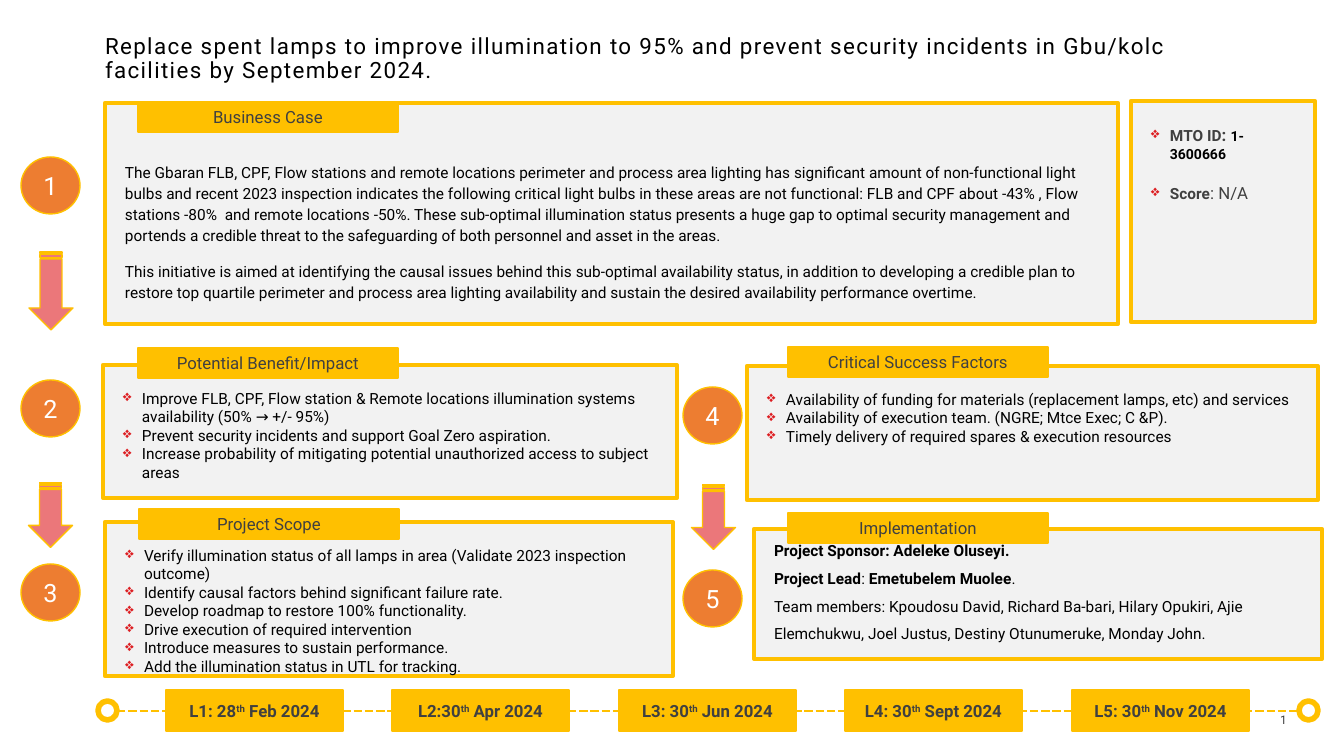
import lxml.etree
import pptx
import pptx.dml.color
import pptx.enum.dml
import pptx.enum.shapes
import pptx.enum.text
import pptx.oxml.ns
import pptx.util

RGBColor = pptx.dml.color.RGBColor
GOLD = RGBColor(0xFF, 0xC0, 0x00)
ORANGE = RGBColor(0xED, 0x7D, 0x31)
PINK = RGBColor(0xEB, 0x77, 0x7A)
RED = RGBColor(0xDD, 0x1D, 0x21)
PANEL_GREY = RGBColor(0xF2, 0xF2, 0xF2)
DARK_GREY = RGBColor(0x40, 0x40, 0x40)
BLACK = RGBColor(0x00, 0x00, 0x00)
WHITE = RGBColor(0xFF, 0xFF, 0xFF)

SHAPE = pptx.enum.shapes.MSO_SHAPE
ALIGN = pptx.enum.text.PP_ALIGN
ANCHOR = pptx.enum.text.MSO_ANCHOR
qn = pptx.oxml.ns.qn

FONT = "Roboto"
EMU_PER_PX = 914400 / 100.8

TITLE = ("Replace spent lamps to improve illumination to 95% and prevent security "
         "incidents in Gbu/kolc facilities by September 2024.")
BUSINESS_CASE = [
    "The Gbaran FLB, CPF, Flow stations and remote locations perimeter and process area "
    "lighting has significant amount of non-functional light bulbs and recent 2023 inspection "
    "indicates the following critical light bulbs in these areas are not functional: FLB and "
    "CPF about -43% , Flow stations -80%  and remote locations -50%. These sub-optimal "
    "illumination status presents a huge gap to optimal security management and portends a "
    "credible threat to the safeguarding of both personnel and asset in the areas.",
    "This initiative is aimed at identifying the causal issues behind this sub-optimal "
    "availability status, in addition to developing a credible plan to restore top quartile "
    "perimeter and process area lighting availability and sustain the desired availability "
    "performance overtime.",
]
BENEFITS = [
    "Improve FLB, CPF, Flow station & Remote locations illumination systems availability "
    "(50% → +/- 95%)",
    "Prevent security incidents and support Goal Zero aspiration.",
    "Increase probability of mitigating potential unauthorized access to subject areas",
]
SCOPE = [
    "Verify illumination status of all lamps in area (Validate 2023 inspection outcome)",
    "Identify causal factors behind significant failure rate.",
    "Develop roadmap to restore 100% functionality.",
    "Drive execution of required intervention",
    "Introduce measures to sustain performance.",
    "Add the illumination status in UTL for tracking.",
]
SUCCESS_FACTORS = [
    "Availability of funding for materials (replacement lamps, etc) and services",
    "Availability of execution team. (NGRE; Mtce Exec; C &P).",
    "Timely delivery of required spares & execution resources",
]
TEAM = [
    [("Project Sponsor: Adeleke Oluseyi.", {"bold": True})],
    [("Project Lead", {"bold": True}), (": ", {}), ("Emetubelem Muolee", {"bold": True}),
     (".", {})],
    "Team members: Kpoudosu David, Richard Ba-bari, Hilary Opukiri, Ajie Elemchukwu, "
    "Joel Justus, Destiny Otunumeruke, Monday John.",
]
TRACKING = [
    [("MTO ID", {"color": DARK_GREY, "bold": True}),
     (": ", {"color": DARK_GREY, "bold": True, "size": 12}),
     ("1-3600666", {"bold": True, "size": 10})],
    [("Score", {"color": DARK_GREY, "bold": True}),
     (": N/A", {"color": DARK_GREY, "size": 12})],
]
MILESTONES = [("L1: 28", " Feb 2024"), ("L2:30", " Apr 2024"), ("L3: 30", " Jun 2024"),
              ("L4: 30", " Sept 2024"), ("L5: 30", " Nov 2024")]


def px(length):
    return pptx.util.Emu(round(length * EMU_PER_PX))


def write_text(para, text, size=11, color=BLACK, bold=False, superscript=False, spacing=0):
    span = para.add_run()
    span.text = text
    span.font.name = FONT
    span.font.size = pptx.util.Pt(size)
    span.font.bold = bold
    span.font.color.rgb = color
    properties = span._r.get_or_add_rPr()
    if superscript:
        properties.set("baseline", "30000")
    if spacing:
        properties.set("spc", str(spacing * 100))
    return span


class InitiativeSlide:
    def __init__(self, deck):
        self.slide = deck.slides.add_slide(deck.slide_layouts[5])
        self.shapes = self.slide.shapes

    def prepare_frame(self, box, insets, anchor):
        frame = box.text_frame
        frame.word_wrap = True
        frame.auto_size = pptx.enum.text.MSO_AUTO_SIZE.NONE
        frame.vertical_anchor = anchor
        (frame.margin_left, frame.margin_top,
         frame.margin_right, frame.margin_bottom) = map(px, insets)
        return frame

    def fill_frame(self, frame, paragraphs, align=ALIGN.LEFT, line_spacing=None, before=0,
                   after=0, bullets=False, **style):
        for index, content in enumerate(paragraphs):
            para = frame.add_paragraph() if index else frame.paragraphs[0]
            if bullets:
                self.add_bullet(para)
            para.alignment = align
            para.line_spacing = line_spacing
            para.space_before = pptx.util.Pt(before if index else 0)
            para.space_after = pptx.util.Pt(after)
            spans = [(content, {})] if isinstance(content, str) else content
            for text, changes in spans:
                write_text(para, text, **{**style, **changes})

    def add_bullet(self, para):
        properties = para._p.get_or_add_pPr()
        properties.set("marL", str(px(19)))
        properties.set("indent", str(px(-19)))
        bullet_color = lxml.etree.SubElement(properties, qn("a:buClr"))
        lxml.etree.SubElement(bullet_color, qn("a:srgbClr"), val=str(RED))
        lxml.etree.SubElement(properties, qn("a:buChar"), char="❖")

    def title(self, text, left, top, width, height):
        box = self.shapes.title
        box.left, box.top, box.width, box.height = map(px, (left, top, width, height))
        frame = self.prepare_frame(box, (0, 0, 0, 0), ANCHOR.MIDDLE)
        self.fill_frame(frame, [text], line_spacing=0.9, size=16, spacing=1)

    def shape(self, kind, left, top, width, height, fill, line_width=1):
        shape = self.shapes.add_shape(kind, *map(px, (left, top, width, height)))
        shape.shadow.inherit = False
        shape.fill.solid()
        shape.fill.fore_color.rgb = fill
        shape.line.color.rgb = GOLD
        shape.line.width = pptx.util.Pt(line_width)
        return shape

    def panel(self, left, top, width, height, paragraphs, top_inset=24, **style):
        box = self.shape(SHAPE.RECTANGLE, left, top, width, height, PANEL_GREY, 3)
        frame = self.prepare_frame(box, (20, top_inset, 20, 5), ANCHOR.TOP)
        self.fill_frame(frame, paragraphs, **style)

    def label(self, kind, place, content, fill=GOLD, side_inset=10, **style):
        box = self.shape(kind, *place, fill)
        frame = self.prepare_frame(box, (side_inset, 5, side_inset, 5), ANCHOR.MIDDLE)
        self.fill_frame(frame, [content], align=ALIGN.CENTER, **style)

    def heading(self, left, top, text):
        self.label(SHAPE.RECTANGLE, (left, top, 260, 30), text, size=12, color=DARK_GREY)

    def badge(self, left, top, number):
        self.label(SHAPE.OVAL, (left, top, 59, 57), str(number), ORANGE, 0,
                   size=18, color=WHITE)

    def down_arrow(self, left, top, length):
        arrow = self.shape(SHAPE.STRIPED_RIGHT_ARROW, left, top, length, 44, PINK)
        arrow.rotation = 90

    def timeline(self, start, end, middle):
        line = self.shapes.add_connector(pptx.enum.shapes.MSO_CONNECTOR.STRAIGHT,
                                         *map(px, (start, middle, end, middle)))
        line.line.color.rgb = GOLD
        line.line.width = pptx.util.Pt(2)
        line.line.dash_style = pptx.enum.dml.MSO_LINE.SQUARE_DOT
        lxml.etree.SubElement(line._element.spPr, qn("a:effectLst"))
        for left in (start - 19, end):
            self.shape(SHAPE.OVAL, left, middle - 10, 19, 19, WHITE, 4)

    def milestone(self, left, day, month):
        content = [(day, {}), ("th", {"superscript": True}), (month, {})]
        self.label(SHAPE.RECTANGLE, (left, 690, 177, 41), content, side_inset=5,
                   size=12, color=DARK_GREY, bold=True)

    def page_number(self, left, top, width, height):
        box = self.shapes.add_textbox(*map(px, (left, top, width, height)))
        para = self.prepare_frame(box, (0, 0, 0, 5), ANCHOR.TOP).paragraphs[0]
        para.alignment = ALIGN.RIGHT
        span = write_text(para, "1", size=8.5, color=DARK_GREY)
        field = lxml.etree.SubElement(para._p, qn("a:fld"), type="slidenum",
                                      id="{B6F15528-21DE-4FAA-801E-634DDDAF4B2B}")
        field.extend(list(span._r))
        para._p.remove(span._r)


def main():
    deck = pptx.Presentation()
    deck.slide_width, deck.slide_height = px(1344), px(756)
    page = InitiativeSlide(deck)
    page.title(TITLE, 105, 27, 1067, 65)

    page.panel(105, 103, 1013, 221, BUSINESS_CASE, top_inset=57, line_spacing=1.15, after=10)
    page.panel(1131, 101, 184, 221, TRACKING, bullets=True, before=14.5)
    page.panel(103, 365, 574, 133, BENEFITS, bullets=True)
    page.panel(105, 522, 568, 154, SCOPE, bullets=True)
    page.panel(747, 366, 571, 134, SUCCESS_FACTORS, bullets=True)
    page.panel(754, 529, 568, 130, TEAM, top_inset=3, line_spacing=1.5)

    for left, top, text in [(138, 102, "Business Case"), (138, 348, "Potential Benefit/Impact"),
                            (139, 509, "Project Scope"), (788, 347, "Critical Success Factors"),
                            (788, 513, "Implementation")]:
        page.heading(left, top, text)

    badges = [(21, 157), (21, 380), (21, 564), (683, 387), (683, 570)]
    for number, (left, top) in enumerate(badges, 1):
        page.badge(left, top, number)
    for left, top, length in [(12, 269, 78), (18, 493, 65), (681, 495, 65)]:
        page.down_arrow(left, top, length)

    page.timeline(117, 1299, 711)
    for index, (day, month) in enumerate(MILESTONES):
        page.milestone(166 + index * 453 // 2, day, month)
    page.page_number(1272, 713, 15, 19)
    deck.save("out.pptx")


if __name__ == "__main__":
    main()
